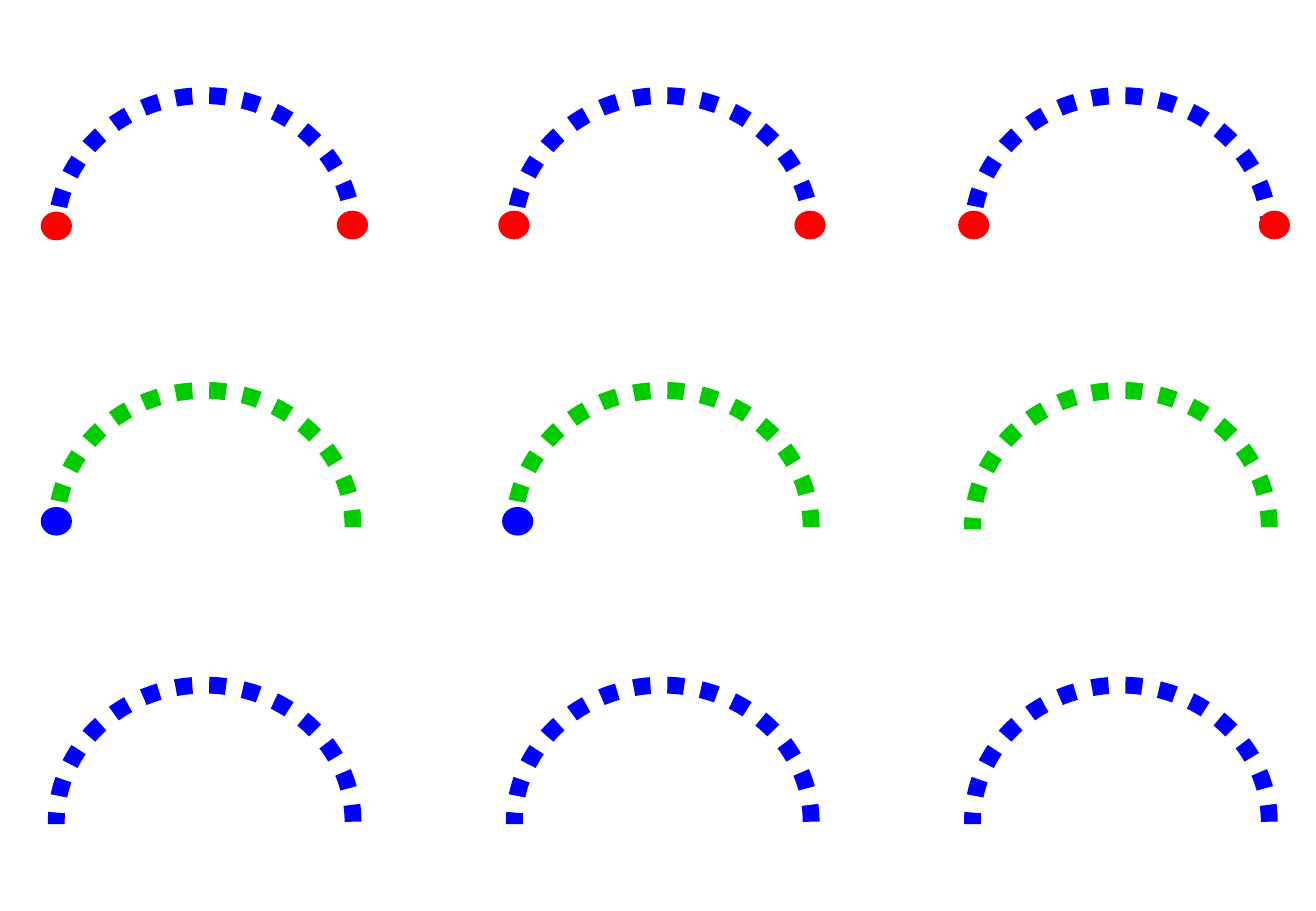
from dataclasses import dataclass

from pptx import Presentation
from pptx.dml.color import RGBColor
from pptx.enum import dml, shapes
from pptx.util import Pt


@dataclass(frozen=True)
class Theme:
    blue: RGBColor = RGBColor(0x00, 0x00, 0xFF)
    green: RGBColor = RGBColor(0x00, 0xCC, 0x00)
    red: RGBColor = RGBColor(0xFF, 0x00, 0x00)
    arc_line: float = 10


THEME = Theme()
COLUMNS = 3
ARC_LEFT, ARC_TOP = 33.4, 56.7
ARC_WIDTH, ARC_HEIGHT = 176, 162
COLUMN_STEP, ROW_STEP = 271.7, 174.7
DOT_WIDTH, DOT_HEIGHT = 18.5, 17
ROW_COLORS = (THEME.blue, THEME.green, THEME.blue)
ENDPOINTS = (
    (THEME.red, 33.4, 134),
    (THEME.red, 209, 133.4),
    (THEME.red, 304.8, 133.4),
    (THEME.red, 480.4, 133.4),
    (THEME.red, 577.5, 133.4),
    (THEME.red, 755.8, 133.4),
    (THEME.blue, 33.4, 309),
    (THEME.blue, 307, 309),
)


def add_dotted_arc(slide, left, top, color):
    arc = slide.shapes.add_shape(
        shapes.MSO_SHAPE.ARC, Pt(left), Pt(top), Pt(ARC_WIDTH), Pt(ARC_HEIGHT)
    )
    arc.adjustments[0] = 108
    arc.adjustments[1] = 0.54
    arc._element.spPr.xfrm.set("flipH", "1")
    arc.shadow.inherit = False
    arc.fill.background()
    arc.line.color.rgb = color
    arc.line.width = Pt(THEME.arc_line)
    arc.line.dash_style = dml.MSO_LINE.ROUND_DOT


def add_endpoint(slide, color, center_x, center_y):
    endpoint = slide.shapes.add_shape(
        shapes.MSO_SHAPE.OVAL,
        Pt(center_x - DOT_WIDTH / 2),
        Pt(center_y - DOT_HEIGHT / 2),
        Pt(DOT_WIDTH),
        Pt(DOT_HEIGHT),
    )
    endpoint.shadow.inherit = False
    endpoint.fill.solid()
    endpoint.fill.fore_color.rgb = color
    endpoint.line.fill.background()


def main():
    deck = Presentation()
    deck.slide_width, deck.slide_height = Pt(780.48), Pt(540)
    slide = deck.slides.add_slide(deck.slide_layouts.get_by_name("Blank"))
    for row, color in enumerate(ROW_COLORS):
        for column in range(COLUMNS):
            left = ARC_LEFT + column * COLUMN_STEP
            add_dotted_arc(slide, left, ARC_TOP + row * ROW_STEP, color)
    for color, center_x, center_y in ENDPOINTS:
        add_endpoint(slide, color, center_x, center_y)
    deck.save("out.pptx")


if __name__ == "__main__":
    main()
